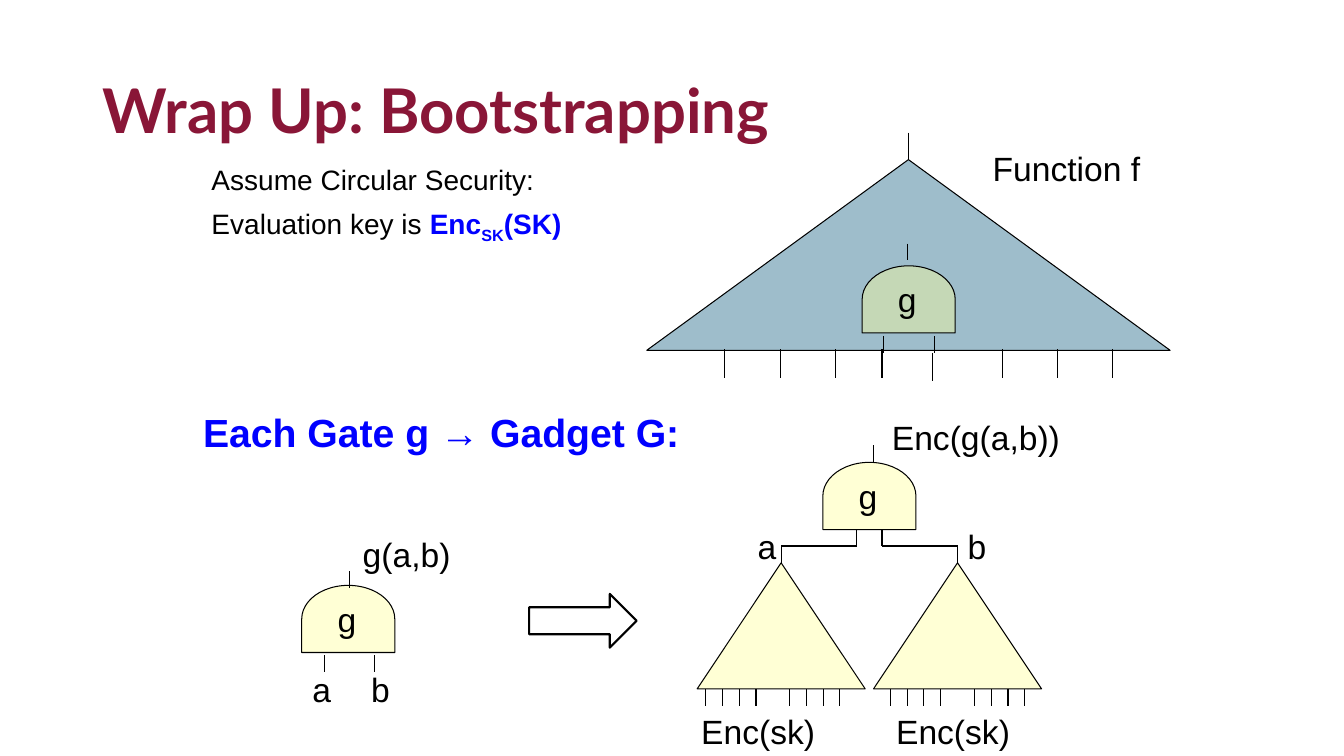
from lxml.etree import SubElement
from pptx import Presentation
from pptx.dml.color import RGBColor
from pptx.enum.shapes import MSO_CONNECTOR, MSO_SHAPE
from pptx.enum.text import MSO_ANCHOR, PP_ALIGN
from pptx.oxml.ns import qn
from pptx.util import Emu, Inches, Pt

COLORS = {"black": "000000", "blue": "0000FF", "maroon": "891637",
          "teal": "156082", "yellow": "FFFF99"}

presentation = Presentation()
presentation.slide_width, presentation.slide_height = Emu(12192000), Inches(7.5)
slide = presentation.slides.add_slide(presentation.slide_layouts[5])

# The slide is a grid of 80 columns and 45 rows of square cells
CELL = presentation.slide_width // 80


def add_line(x1, y1, x2, y2):
    ends = [Emu(round(value * CELL)) for value in (x1, y1, x2, y2)]
    line = slide.shapes.add_connector(MSO_CONNECTOR.STRAIGHT, *ends)
    line.line.color.rgb = RGBColor.from_string(COLORS["black"])
    line.line.width = Pt(0.75)
    SubElement(line._element.spPr, qn("a:effectLst"))


def add_label(left, top, width, height, size, *pieces):
    box = [Emu(round(value * CELL)) for value in (left, top, width, height)]
    frame = slide.shapes.add_textbox(*box).text_frame
    frame.word_wrap = True
    for text, color, bold in pieces:
        run = frame.paragraphs[0].add_run()
        run.text = text
        run.font.name, run.font.size, run.font.bold = "Arial", Pt(size), bold
        run.font.color.rgb = RGBColor.from_string(COLORS[color])
    return frame


# Title
title = slide.shapes.title
title.left, title.top = Inches(0.92), Inches(0.4)
title.width, title.height = Inches(11.5), Inches(1.45)
title.text_frame.text = "Wrap Up: Bootstrapping"
title.text_frame.vertical_anchor = MSO_ANCHOR.MIDDLE
heading = title.text_frame.paragraphs[0]
heading.alignment, heading.line_spacing = PP_ALIGN.LEFT, 0.9
heading.runs[0].font.name, heading.runs[0].font.size = "Lato", Pt(44)
heading.runs[0].font.bold = True
heading.runs[0].font.color.rgb = RGBColor.from_string(COLORS["maroon"])

# Function and key triangles, gates and arrow
gate_centers = [(54.09, 17.82), (20.73, 36.84), (51.75, 29.52)]
triangle, gate = MSO_SHAPE.ISOSCELES_TRIANGLE, MSO_SHAPE.FLOWCHART_DELAY
outlines = [(triangle, 38.5, 9.5, 31.15, 11.35, "teal"),
            (triangle, 41.5, 33.5, 10, 7.5, "yellow"),
            (triangle, 52, 33.5, 10, 7.5, "yellow"),
            (MSO_SHAPE.RIGHT_ARROW, 31.5, 35.35, 6.4, 3.2, None)]
outlines += [(gate, x - 2, y - 2.77, 4, 5.54, "yellow") for x, y in gate_centers]
for kind, left, top, width, height, color in outlines:
    box = [Emu(round(value * CELL)) for value in (left, top, width, height)]
    shape = slide.shapes.add_shape(kind, *box)
    shape.shadow.inherit = False
    shape.rotation = 270 if kind == gate else 0
    shape.line.color.rgb = RGBColor.from_string(COLORS["black"])
    shape.line.width = Pt(0.75 if color else 1.5)
    if color is None:
        shape.fill.background()
        continue
    shape.fill.solid()
    shape.fill.fore_color.rgb = RGBColor.from_string(COLORS[color])
    fill_color = shape._element.spPr.find(qn("a:solidFill"))[0]
    SubElement(fill_color, qn("a:alpha"), val="41000")

# Function output and inputs
add_line(54.1, 7.9, 54.1, 9.5)
for index in (0, 1, 2, 5, 6, 7):
    x = 43.15 + 3.3 * index
    add_line(x, 20.8, x, 22.5)
add_line(52.5, 20.8, 52.5, 22.5)
add_line(55.5, 21, 55.5, 22.7)

# Gate outputs, and input pins of the two stand-alone gates
for x, top in ((54, 14.5), (20.8, 34), (52, 26.5)):
    add_line(x, top, x, top + 1)
for x, top in ((52.6, 20), (19.3, 39)):
    for pin in (x, x + 3):
        add_line(pin, top, pin, top + 1)

# Gadget wires and key inputs
for apex, pin, first_input in ((46.5, 51, 42), (57, 52.5, 53)):
    add_line(apex, 32.5, apex, 33.5)
    add_line(apex, 32.5, pin, 32.5)
    add_line(pin, 31.5, pin, 32.5)
    for step in (0, 1, 2, 3, 5, 6, 7, 8):
        add_line(first_input + step, 41, first_input + step, 42)

# Diagram labels
labels = [("g", x - 1.23, y - 1.5, 5) for x, y in gate_centers]
labels += [("a", 18, 39.5, 5), ("b", 21.5, 39.5, 5), ("g(a,b)", 21, 31.5, 8),
           ("a", 44.5, 31, 5), ("b", 57, 31, 5), ("Enc(g(a,b))", 52.5, 24.5, 14.5),
           ("Enc(sk)", 41.15, 42, 11.2), ("Enc(sk)", 52.75, 42, 11.2),
           ("Function f", 58.5, 8.5, 12.5)]
for text, left, top, width in labels:
    add_label(left, top, width, 3, 24, (text, "black", False))

# Statements
add_label(12, 9.35, 27.5, 2.65, 20, ("Assume Circular Security:", "black", False))
key = add_label(12, 12, 27.5, 2.65, 20, ("Evaluation key is ", "black", False),
                ("Enc", "blue", True), ("SK", "blue", True), ("(SK)", "blue", True))
key.paragraphs[0].runs[2].font._element.set("baseline", "-25000")
add_label(11.5, 24, 38.5, 3.4, 28, ("Each Gate g → Gadget G:", "blue", True))

presentation.save("out.pptx")
